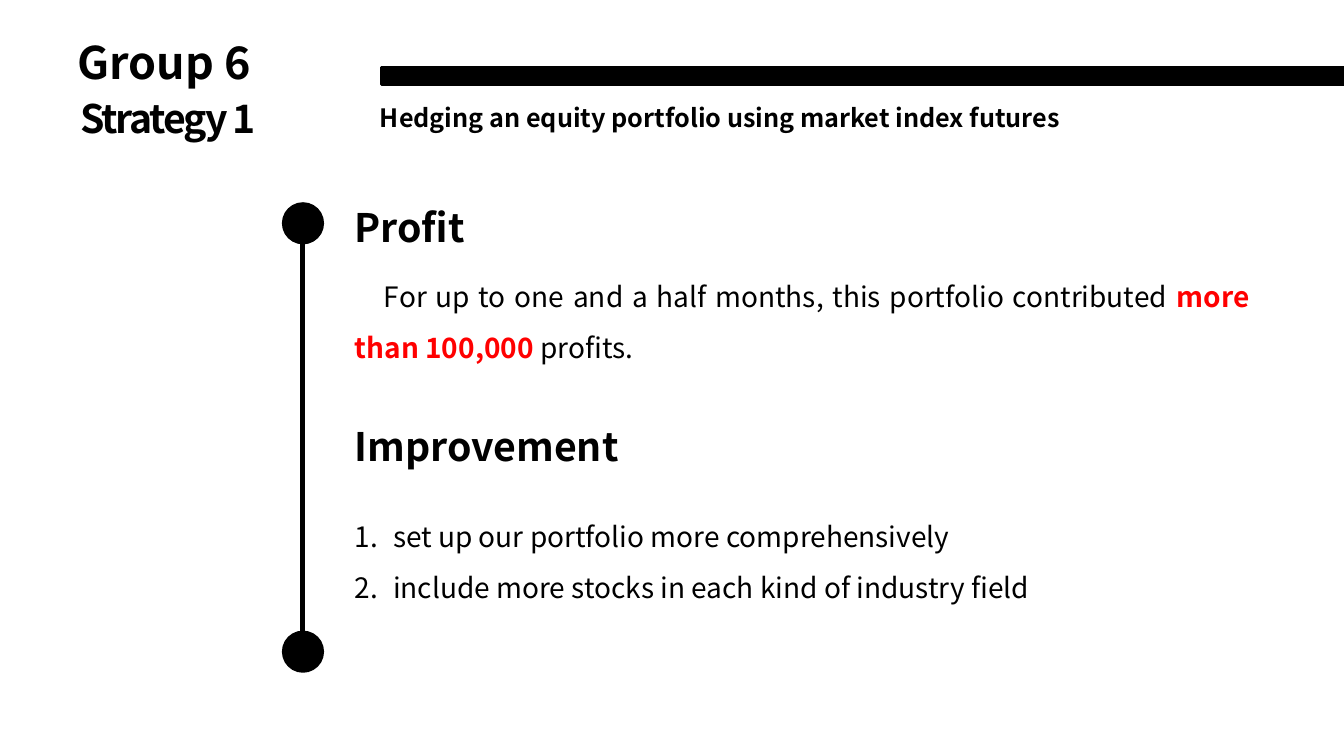
from dataclasses import dataclass

from lxml import etree
from pptx import Presentation
from pptx import util as u
from pptx.dml.color import RGBColor
from pptx.enum import shapes, text
from pptx.oxml import ns

EMU_PER_PX = 9144  # 100 px to the inch
FONT = "Noto Sans CJK SC"
COLORS = {"ink": "000000", "accent": "FF0000", "paper": "FFFFFF"}


@dataclass(frozen=True)
class Run:
    text: str
    bold: bool = False
    color: str = "ink"


@dataclass(frozen=True)
class Heading:
    text: str
    left: int
    top: int
    width: int
    height: int
    size: int
    wrap: bool = True
    spacing: int = 0  # hundredths of a point


@dataclass(frozen=True)
class Body:
    top: int
    height: int
    paragraphs: tuple[tuple[Run, ...], ...]
    margin: int = 0
    indent: int = 0
    numbered: bool = False


TEXT_LEFT, BODY_WIDTH, BODY_SIZE = 342, 907, 20
AXIS_X, DOT = 300, 39
DOT_TOPS = (202, 627)

HEADINGS = (
    Heading("Group 6", 67, 30, 311, 64, 32),
    Heading("Strategy 1", 70, 89, 391, 57, 28, spacing=-150),
    Heading("Hedging an equity portfolio using market index futures",
            367, 97, 739, 40, 18),
    Heading("Profit", TEXT_LEFT, 197, 131, 57, 28, wrap=False),
    Heading("Improvement", TEXT_LEFT, 414, 288, 57, 28, wrap=False),
)

BODIES = (
    Body(256, 105, ((
        Run("For up to one and a half months, this portfolio contributed "),
        Run("more than 100,000 ", True, "accent"),
        Run("profits."),
    ),), indent=29),
    Body(494, 165, (
        (Run("set up our portfolio more comprehensively"),),
        (Run("include more stocks in each kind of industry field"),),
    ), margin=38, indent=-38, numbered=True),
)


def px(n: int) -> u.Emu:
    return u.Emu(n * EMU_PER_PX)


def rgb(name: str) -> RGBColor:
    return RGBColor.from_string(COLORS[name])


def add_solid(s, kind, left: int, top: int, width: int, height: int) -> None:
    sp = s.shapes.add_shape(kind, px(left), px(top), px(width), px(height))
    sp.shadow.inherit = False
    sp.fill.solid()
    sp.fill.fore_color.rgb = rgb("ink")
    sp.line.color.rgb = rgb("ink")
    sp.line.width = u.Pt(2)


def add_timeline(s) -> None:
    first, last = DOT_TOPS
    line = s.shapes.add_connector(
        shapes.MSO_CONNECTOR.STRAIGHT,
        px(AXIS_X), px(first + DOT), px(AXIS_X), px(last + DOT // 2))
    line.line.color.rgb = rgb("ink")
    line.line.width = u.Pt(3)
    etree.SubElement(line._element.spPr, ns.qn("a:effectLst"))
    for top in DOT_TOPS:
        add_solid(s, shapes.MSO_SHAPE.OVAL, AXIS_X - DOT // 2, top, DOT, DOT)


def add_textbox(s, left: int, top: int, width: int, height: int, wrap: bool = True):
    tf = s.shapes.add_textbox(px(left), px(top), px(width), px(height)).text_frame
    tf.word_wrap = wrap
    return tf


def format_run(r, size: int, bold: bool, color: str) -> None:
    r.font.name = FONT
    r.font.size = u.Pt(size)
    r.font.bold = bold
    r.font.color.rgb = rgb(color)


def add_heading(s, h: Heading) -> None:
    tf = add_textbox(s, h.left, h.top, h.width, h.height, h.wrap)
    tf.auto_size = text.MSO_AUTO_SIZE.SHAPE_TO_FIT_TEXT
    tf.text = h.text
    r = tf.paragraphs[0].runs[0]
    format_run(r, h.size, True, "ink")
    if h.spacing:
        r.font._element.set("spc", str(h.spacing))


def add_body(s, body: Body) -> None:
    tf = add_textbox(s, TEXT_LEFT, body.top, BODY_WIDTH, body.height)
    for i, runs in enumerate(body.paragraphs):
        p = tf.add_paragraph() if i else tf.paragraphs[0]
        p.alignment = text.PP_ALIGN.JUSTIFY
        p.line_spacing = 1.5
        pPr = p._p.get_or_add_pPr()
        pPr.set("marL", str(px(body.margin)))
        pPr.set("indent", str(px(body.indent)))
        if body.numbered:
            etree.SubElement(pPr, ns.qn("a:buAutoNum"), type="arabicPeriod")
        for run in runs:
            r = p.add_run()
            r.text = run.text
            format_run(r, BODY_SIZE, run.bold, run.color)


def main() -> None:
    prs = Presentation()
    prs.slide_width, prs.slide_height = u.Inches(13.33), u.Inches(7.5)
    s = prs.slides.add_slide(prs.slide_layouts[6])
    s.background.fill.solid()
    s.background.fill.fore_color.rgb = rgb("paper")
    add_solid(s, shapes.MSO_SHAPE.RECTANGLE, 378, 67, 1008, 17)
    add_timeline(s)
    for heading in HEADINGS:
        add_heading(s, heading)
    for body in BODIES:
        add_body(s, body)
    prs.save("out.pptx")


if __name__ == "__main__":
    main()
